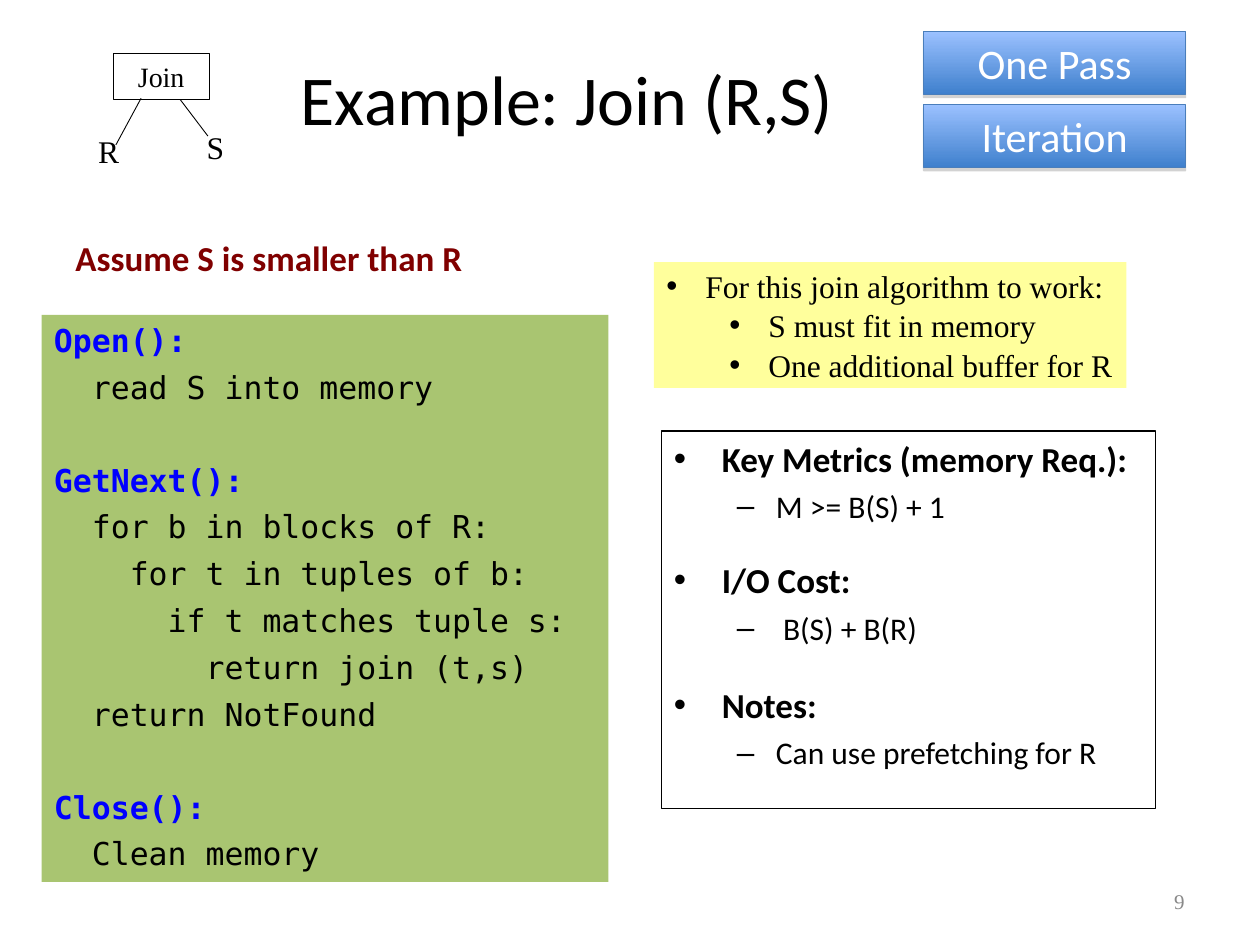
"""Build the slide explaining the one-pass join of R and S."""
from dataclasses import dataclass
from typing import Optional, Sequence

from lxml.etree import SubElement
from pptx import Presentation
from pptx.dml.color import RGBColor
from pptx.enum.shapes import MSO_CONNECTOR, MSO_SHAPE
from pptx.enum.text import MSO_ANCHOR, PP_ALIGN
from pptx.oxml.ns import qn
from pptx.util import Inches, Pt


@dataclass(frozen=True)
class Theme:
    sans: str = "Calibri"
    serif: str = "Times New Roman"
    mono: str = "DejaVu Sans Mono"
    black: str = "000000"
    white: str = "FFFFFF"
    keyword: str = "0000FF"
    maroon: str = "800000"
    gray: str = "898989"
    green: str = "9BBB59"
    yellow: str = "FFFF00"
    badge_top: str = "9BC1FF"
    badge_bottom: str = "3F80CD"
    badge_line: str = "4A7EBB"
    shadow: str = "808080"
    title: int = 40
    badge: int = 24
    heading: int = 20
    body: int = 18
    node: int = 16
    number: int = 12


THEME = Theme()


@dataclass(frozen=True)
class Style:
    font: str
    size: int
    color: str = THEME.black
    bold: bool = False


@dataclass(frozen=True)
class Bullet:
    char: str
    left: float
    hanging: float
    level: int = 0


@dataclass(frozen=True)
class Line:
    text: str
    style: Style
    before: float = 0
    bullet: Optional[Bullet] = None
    align: PP_ALIGN = PP_ALIGN.LEFT


@dataclass(frozen=True)
class Area:
    left: float
    top: float
    width: float
    height: float

    def lengths(self) -> list:
        return [Inches(v) for v in (self.left, self.top, self.width, self.height)]


def rgb(color: str) -> RGBColor:
    return RGBColor.from_string(color)


def write(frame, lines: Sequence[Line], anchor=MSO_ANCHOR.TOP, wrap: bool = True) -> None:
    frame.word_wrap = wrap
    frame.vertical_anchor = anchor
    for index, line in enumerate(lines):
        paragraph = frame.add_paragraph() if index else frame.paragraphs[0]
        paragraph.alignment = line.align
        if line.bullet:
            paragraph.level = line.bullet.level
            properties = paragraph._p.get_or_add_pPr()
            properties.set("marL", str(Inches(line.bullet.left)))
            properties.set("indent", str(-Inches(line.bullet.hanging)))
            SubElement(properties, qn("a:buFont"), typeface="Arial")
            SubElement(properties, qn("a:buChar"), char=line.bullet.char)
        if line.before:
            paragraph.space_before = Pt(line.before)
        run = paragraph.add_run()
        run.text = line.text
        run.font.name = line.style.font
        run.font.size = Pt(line.style.size)
        run.font.bold = line.style.bold
        run.font.color.rgb = rgb(line.style.color)


def add_text(slide, area: Area, lines: Sequence[Line], **layout) -> None:
    write(slide.shapes.add_textbox(*area.lengths()).text_frame, lines, **layout)


def add_panel(slide, area: Area, lines: Sequence[Line], fill: Optional[str] = None,
              opacity: int = 100, border: float = 0, **layout) -> None:
    panel = slide.shapes.add_shape(MSO_SHAPE.RECTANGLE, *area.lengths())
    panel.shadow.inherit = False
    if fill:
        panel.fill.solid()
        panel.fill.fore_color.rgb = rgb(fill)
        tint = panel._element.spPr.find(".//" + qn("a:srgbClr"))
        SubElement(tint, qn("a:alpha"), val=str(opacity * 1000))
    else:
        panel.fill.background()
    if border:
        panel.line.color.rgb = rgb(THEME.black)
        panel.line.width = Pt(border)
    else:
        panel.line.fill.background()
    write(panel.text_frame, lines, **layout)


def add_badge(slide, area: Area, label: str) -> None:
    badge = slide.shapes.add_shape(MSO_SHAPE.RECTANGLE, *area.lengths())
    badge.fill.gradient()
    badge.fill.gradient_angle = 270
    for stop, color in zip(badge.fill.gradient_stops, (THEME.badge_top, THEME.badge_bottom)):
        stop.color.rgb = rgb(color)
    badge.line.color.rgb = rgb(THEME.badge_line)
    badge.line.width = Pt(0.75)
    badge.shadow.inherit = False
    effects = badge._element.spPr.find(qn("a:effectLst"))
    shadow = SubElement(effects, qn("a:outerShdw"), dist=str(Pt(1.8)), dir="5400000")
    tint = SubElement(shadow, qn("a:srgbClr"), val=THEME.shadow)
    SubElement(tint, qn("a:alpha"), val="35000")
    style = Style(THEME.sans, THEME.badge, THEME.white)
    write(badge.text_frame, [Line(label, style, align=PP_ALIGN.CENTER)], MSO_ANCHOR.MIDDLE)


def add_branch(slide, *ends: float) -> None:
    branch = slide.shapes.add_connector(MSO_CONNECTOR.STRAIGHT, *map(Inches, ends))
    branch.line.color.rgb = rgb(THEME.black)
    branch.line.width = Pt(0.5)
    SubElement(branch._element.spPr, qn("a:effectLst"))


def add_join_tree(slide) -> None:
    node = Style(THEME.serif, THEME.node)
    leaf = Style(THEME.serif, THEME.body)
    add_panel(slide, Area(0.9, 0.42, 0.76, 0.37),
              [Line("Join", node, align=PP_ALIGN.CENTER)], border=0.25)
    add_branch(slide, 1.12, 0.78, 0.92, 1.15)
    add_branch(slide, 1.43, 0.79, 1.65, 1.08)
    for relation, area in (("R", Area(0.68, 1, 0.36, 0.4)), ("S", Area(1.54, 0.97, 0.34, 0.4))):
        add_text(slide, area, [Line(relation, leaf, align=PP_ALIGN.CENTER)], wrap=False)


def operator_code() -> list[Line]:
    keyword = Style(THEME.mono, THEME.body, THEME.keyword, True)
    code = Style(THEME.mono, THEME.body)
    methods = {
        "Open():": ["  read S into memory"],
        "GetNext():": ["  for b in blocks of R:", "    for t in tuples of b:",
                       "      if t matches tuple s:", "        return join (t,s)",
                       "  return NotFound"],
        "Close():": ["  Clean memory"],
    }
    lines: list[Line] = []
    for method, body in methods.items():
        lines.append(Line(method, keyword, 31.3 if lines else 0))
        lines += [Line(statement, code, 5.2) for statement in body]
    return lines


def cost_summary() -> list[Line]:
    heading = Style(THEME.sans, THEME.heading, bold=True)
    detail = Style(THEME.sans, THEME.body)
    dot, dash = Bullet("•", 0.38, 0.38), Bullet("–", 0.81, 0.31, 1)
    topics = (("Key Metrics (memory Req.):", "M >= B(S) + 1", 0),
              ("I/O Cost:", " B(S) + B(R)", 19.5),
              ("Notes:", "Can use prefetching for R", 21))
    return [line for topic, fact, gap in topics
            for line in (Line(topic, heading, gap, dot), Line(fact, detail, 4.5, dash))]


def requirements() -> list[Line]:
    style = Style(THEME.serif, THEME.body)
    nested = Bullet("•", 0.81, 0.31, 1)
    return [Line("For this join algorithm to work:", style, 0, Bullet("•", 0.31, 0.31)),
            Line("S must fit in memory", style, 1, nested),
            Line("One additional buffer for R", style, 1, nested)]


def main() -> None:
    deck = Presentation()
    deck.slide_width, deck.slide_height = Inches(10), Inches(7.5)
    slide = deck.slides.add_slide(deck.slide_layouts[5])
    title = slide.shapes.title
    title.left, title.top, title.width, title.height = Area(0.5, 0.3, 8, 0.95).lengths()
    write(title.text_frame, [Line("Example: Join (R,S)", Style(THEME.sans, THEME.title),
                                  align=PP_ALIGN.CENTER)], MSO_ANCHOR.MIDDLE)
    for row, label in enumerate(("One Pass", "Iteration")):
        add_badge(slide, Area(7.33, 0.25 + 0.58 * row, 2.08, 0.5), label)
    add_panel(slide, Area(0.33, 2.5, 4.5, 4.5), operator_code(), THEME.green, 85)
    add_text(slide, Area(0.5, 1.83, 3.91, 0.5), [
        Line("Assume S is smaller than R", Style(THEME.sans, THEME.heading, THEME.maroon, True))])
    add_panel(slide, Area(5.25, 3.42, 3.92, 3), cost_summary(), border=0.75)
    add_join_tree(slide)
    add_panel(slide, Area(5.19, 2.08, 3.75, 1), requirements(), THEME.yellow, 39,
              anchor=MSO_ANCHOR.MIDDLE, wrap=False)
    add_text(slide, Area(7.17, 6.95, 2.33, 0.4), [
        Line("9", Style(THEME.serif, THEME.number, THEME.gray), align=PP_ALIGN.RIGHT)],
        anchor=MSO_ANCHOR.MIDDLE)
    deck.save("out.pptx")


if __name__ == "__main__":
    main()
